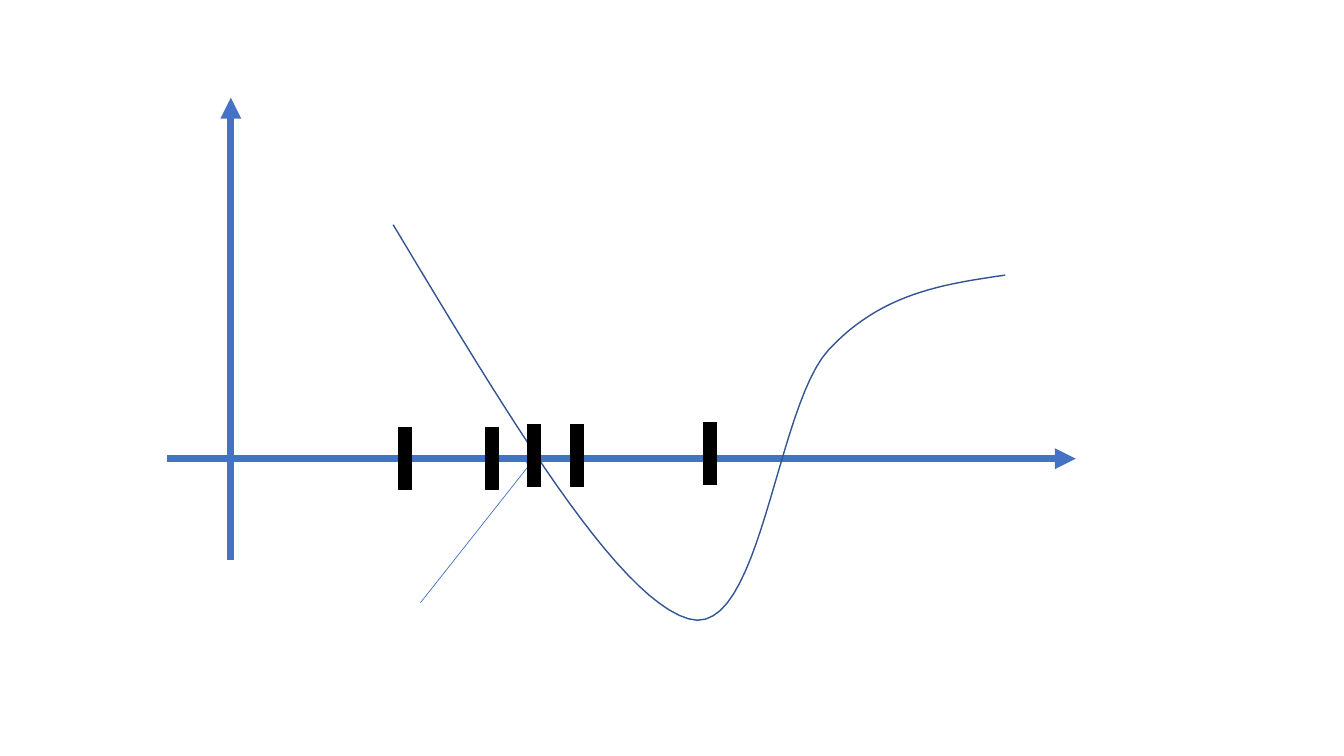
from dataclasses import dataclass

import pptx
import pptx.dml.color
import pptx.enum.shapes
import pptx.oxml
import pptx.oxml.ns
import pptx.util

SCALE = 9144
BLUE = "4472C4"
NAVY = "325491"
BLACK = "000000"
STEPS = 24
TICK = 62

Point = tuple[float, float]


@dataclass
class Line:
    start: Point
    end: Point
    hue: str
    width: float
    arrow: bool = False


@dataclass
class Bend:
    pull: Point
    push: Point
    end: Point


AXES = [
    Line((166, 455), (1067, 455), BLUE, 5, True),
    Line((229, 556), (229, 97), BLUE, 5, True),
]
POINTER = Line((417, 598), (530, 455), BLUE, 0.5, True)
TICKS = [
    Line((x, top), (x, top + TICK), BLACK, 10)
    for x, top in [(402, 424), (704, 419), (572, 421), (488, 424), (530, 421)]
]
START = (390, 223)
BENDS = [
    Bend((501, 408), (611, 593), (683, 614)),
    Bend((755, 635), (769, 404), (822, 347)),
    Bend((874, 291), (935, 282), (997, 273)),
]


def emu(px: float) -> int:
    return round(px * SCALE)


def paint(line: pptx.dml.line.LineFormat, hue: str, width: float) -> None:
    line.color.rgb = pptx.dml.color.RGBColor.from_string(hue)
    line.width = pptx.util.Pt(width)


def add_line(slide: pptx.slide.Slide, item: Line) -> None:
    ends = [emu(n) for n in item.start + item.end]
    shape = slide.shapes.add_connector(pptx.enum.shapes.MSO_CONNECTOR.STRAIGHT, *ends)
    paint(shape.line, item.hue, item.width)
    if item.arrow:
        head = pptx.oxml.parse_xml(
            f'<a:tailEnd {pptx.oxml.ns.nsdecls("a")} type="triangle"/>'
        )
        shape.line._get_or_add_ln().append(head)
    blank = pptx.oxml.parse_xml(f'<a:effectLst {pptx.oxml.ns.nsdecls("a")}/>')
    shape._element.spPr.append(blank)


def trace(start: Point, bend: Bend) -> list[Point]:
    points = []
    for step in range(1, STEPS + 1):
        t = step / STEPS
        u = 1 - t
        x, y = (
            u**3 * a + 3 * u * u * t * b + 3 * u * t * t * c + t**3 * d
            for a, b, c, d in zip(start, bend.pull, bend.push, bend.end)
        )
        points.append((emu(x), emu(y)))
    return points


def add_curve(slide: pptx.slide.Slide, start: Point, bends: list[Bend]) -> None:
    form = slide.shapes.build_freeform(emu(start[0]), emu(start[1]))
    for bend in bends:
        form.add_line_segments(trace(start, bend), close=False)
        start = bend.end
    shape = form.convert_to_shape()
    shape.shadow.inherit = False
    shape.fill.background()
    paint(shape.line, NAVY, 1)


def main() -> None:
    deck = pptx.Presentation()
    deck.slide_width = emu(1333)
    deck.slide_height = emu(750)
    slide = deck.slides.add_slide(deck.slide_layouts[6])
    for axis in AXES:
        add_line(slide, axis)
    add_curve(slide, START, BENDS)
    for item in [POINTER, *TICKS]:
        add_line(slide, item)
    deck.save("out.pptx")


if __name__ == "__main__":
    main()
